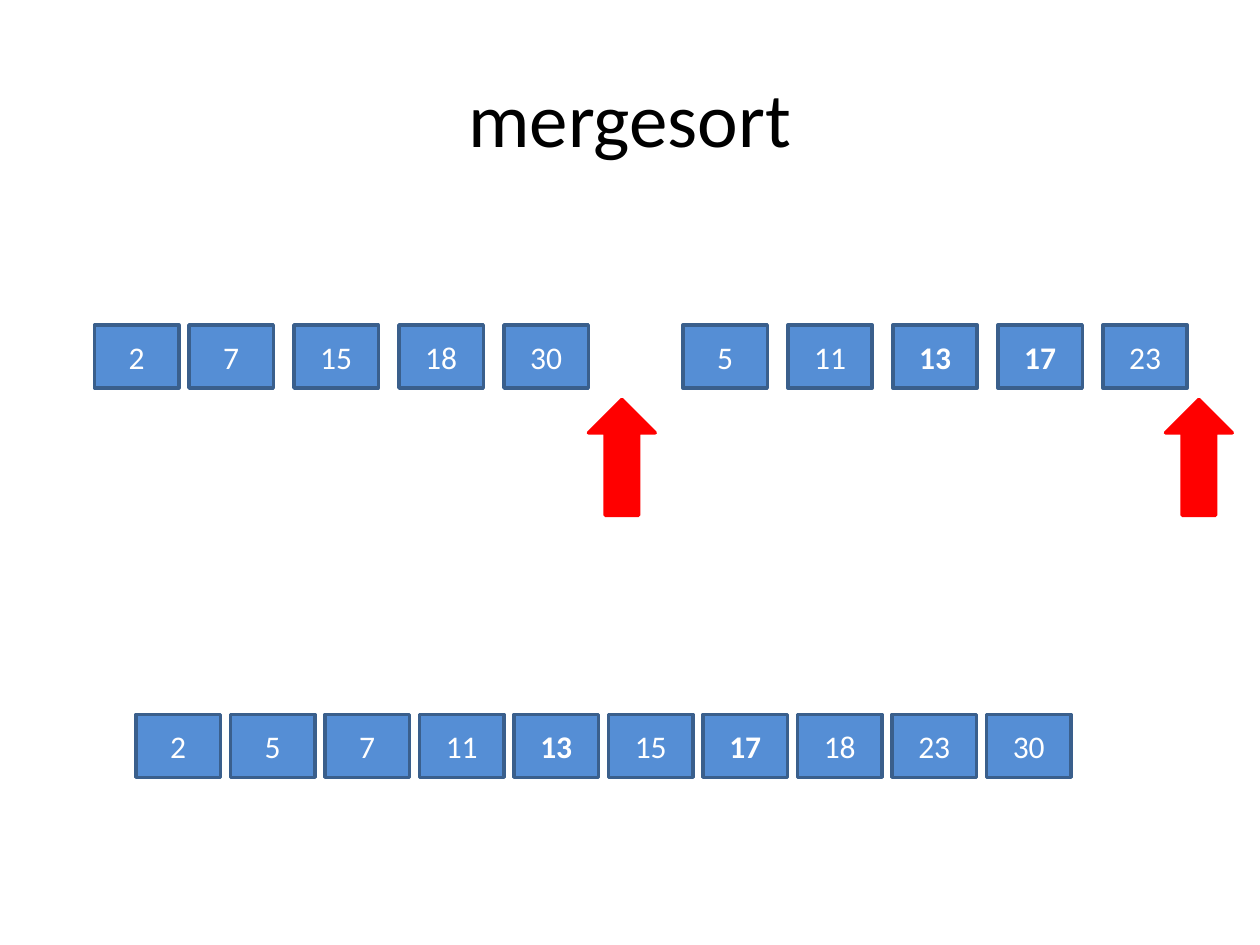
"""Build the mergesort slide: two sorted runs, their pointers and the merged row."""
from pptx import Presentation
from pptx.dml.color import RGBColor
from pptx.enum.shapes import MSO_SHAPE as Shape
from pptx.enum.text import MSO_ANCHOR as Anchor, PP_ALIGN as Align
from pptx.util import Inches, Pt


def write(box, text, color, **formats):
    frame = box.text_frame
    frame.word_wrap = True
    frame.vertical_anchor = Anchor.MIDDLE
    para = frame.paragraphs[0]
    para.alignment = Align.CENTER
    span = para.add_run()
    span.text = text
    span.font.color.rgb = RGBColor.from_string(color)
    for name, value in {"name": "Calibri", **formats}.items():
        setattr(span.font, name, value)


def add_block(kind, left, top, width, height, fill, line):
    block = page.shapes.add_shape(
        kind, Inches(left), Inches(top), Inches(width), Inches(height))
    block.shadow.inherit = False
    block.fill.solid()
    block.fill.fore_color.rgb = RGBColor.from_string(fill)
    block.line.color.rgb = RGBColor.from_string(line)
    block.line.width = Pt(2)
    return block


deck = Presentation()
deck.slide_width, deck.slide_height = Inches(10), Inches(7.5)
page = deck.slides.add_slide(deck.slide_layouts[6])

title = page.shapes.add_textbox(Inches(0.5), Inches(0.3), Inches(9), Inches(1.25))
write(title, "mergesort", "000000", size=Pt(44))

run_top, merged_top = 2.58, 5.67
run_step, merged_step = 2.5 / 3, 0.75
bold_values = {13, 17}
rows = [
    (0.75, run_top, run_step, [2]),
    (1.5, run_top, run_step, [7, 15, 18, 30]),
    (5.42, run_top, run_step, [5, 11, 13, 17, 23]),
    (1.08, merged_top, merged_step, [2, 5, 7, 11, 13, 15, 17, 18, 23, 30]),
]
for left, top, step, values in rows:
    for index, value in enumerate(values):
        cell = add_block(Shape.RECTANGLE, left + index * step, top, 0.67, 0.5,
                         "558ED5", "3A5F8C")
        write(cell, str(value), "FFFFFF", size=Pt(18), bold=value in bold_values)

for left in (4.67, 9.25):
    pointer = add_block(Shape.DOWN_ARROW, left, 3.17, 0.53, 0.92, "FF0000", "FF0000")
    pointer.rotation = 180

deck.save("out.pptx")
